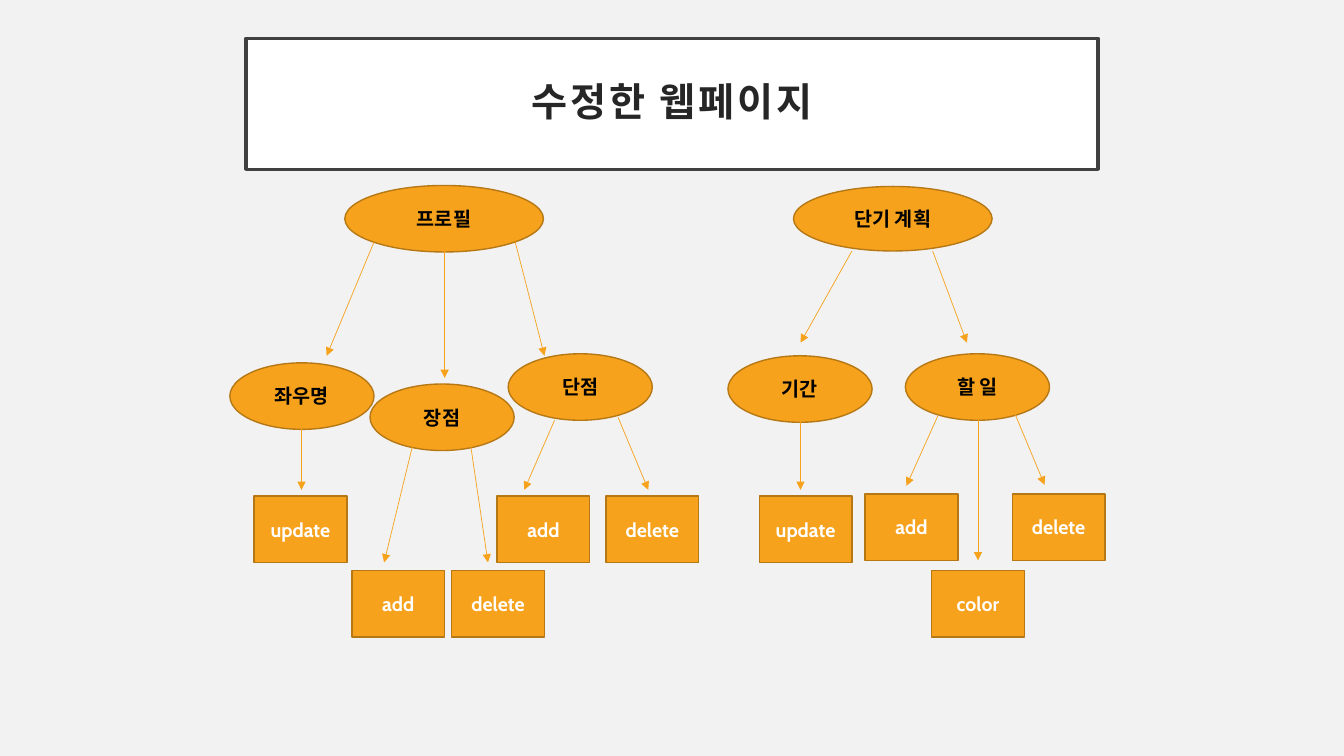
from lxml import etree
from pptx import Presentation
from pptx.dml.color import RGBColor
from pptx.enum.shapes import MSO_CONNECTOR, MSO_SHAPE
from pptx.enum.text import MSO_ANCHOR, PP_ALIGN
from pptx.oxml.ns import qn
from pptx.util import Inches, Pt

RECT, OVAL = MSO_SHAPE.RECTANGLE, MSO_SHAPE.OVAL
STRAIGHT = MSO_CONNECTOR.STRAIGHT
MIDDLE, CENTER = MSO_ANCHOR.MIDDLE, PP_ALIGN.CENTER

FONT = "Cabin"
COLORS = {
    "background": "F2F2F2", "white": "FFFFFF", "frame": "404040",
    "title": "262626", "orange": "F6A21D", "edge": "B67815", "black": "000000",
}
TITLE = ("수정한 웹페이지", 2.44, 0.38, 8.45, 1.3)
NODE_H = 0.66
ROOT_W, TOPIC_W, ACTION_W = 1.97, 1.43, 0.92
ROOTS = [("프로필", 3.42, 1.84, NODE_H), ("단기 계획", 7.87, 1.85, 0.64)]
TOPICS = [
    ("좌우명", 2.28, 3.6), ("장점", 3.67, 3.81), ("단점", 5.04, 3.51),
    ("기간", 7.22, 3.53), ("할 일", 8.98, 3.51),
]
ACTIONS = [
    ("update", 2.52, 4.92), ("add", 3.49, 5.66), ("delete", 4.48, 5.66),
    ("add", 4.93, 4.92), ("delete", 6.01, 4.92), ("update", 7.53, 4.92),
    ("add", 8.58, 4.9), ("color", 9.24, 5.66), ("delete", 10.04, 4.9),
]
ARROWS = [
    (3.71, 2.4, 3.24, 3.53), (4.41, 2.49, 4.41, 3.75), (5.11, 2.4, 5.4, 3.53),
    (8.45, 2.49, 7.94, 3.4), (9.25, 2.49, 9.59, 3.4),
    (2.99, 4.26, 2.99, 4.86), (4.09, 4.43, 3.81, 5.58), (4.67, 4.43, 4.84, 5.58),
    (5.5, 4.17, 5.2, 4.86), (6.13, 4.14, 6.43, 4.86), (7.94, 4.14, 7.94, 4.86),
    (9.3, 4.13, 8.99, 4.82), (9.7, 4.17, 9.7, 5.56), (10.06, 4.09, 10.36, 4.81),
]


def rgb(name):
    return RGBColor.from_string(COLORS[name])


def add_box(s, kind, text, x, y, w, h, color, fill="orange", edge="edge", line=1, size=14):
    sp = s.shapes.add_shape(kind, *map(Inches, (x, y, w, h)))
    sp.shadow.inherit = False
    sp.fill.solid()
    sp.fill.fore_color.rgb = rgb(fill)
    sp.line.color.rgb = rgb(edge)
    sp.line.width = Pt(line)
    tf = sp.text_frame
    tf.word_wrap = True
    tf.vertical_anchor = MIDDLE
    p = tf.paragraphs[0]
    p.text = text
    p.alignment = CENTER
    p.font.name = FONT
    p.font.size = Pt(size)
    p.font.bold = True
    p.font.color.rgb = rgb(color)
    return p


def add_arrow(s, x1, y1, x2, y2):
    c = s.shapes.add_connector(STRAIGHT, *map(Inches, (x1, y1, x2, y2)))
    c.line.color.rgb = rgb("orange")
    c.line.width = Pt(0.5)
    etree.SubElement(c.line._get_or_add_ln(), qn("a:tailEnd"), type="triangle")
    etree.SubElement(c._element.spPr, qn("a:effectLst"))


def main():
    """Build the revised web page tree slide."""
    prs = Presentation()
    prs.slide_width, prs.slide_height = Inches(13.33), Inches(7.5)
    s = prs.slides.add_slide(prs.slide_layouts[6])
    s.background.fill.solid()
    s.background.fill.fore_color.rgb = rgb("background")

    p = add_box(s, RECT, *TITLE, "title", "white", "frame", 2.5, 28)
    p.line_spacing = 0.9
    p.runs[0]._r.get_or_add_rPr().set("spc", "200")

    for text, x, y, h in ROOTS:
        add_box(s, OVAL, text, x, y, ROOT_W, h, "black")
    for text, x, y in TOPICS:
        add_box(s, OVAL, text, x, y, TOPIC_W, NODE_H, "black")
    for text, x, y in ACTIONS:
        add_box(s, RECT, text, x, y, ACTION_W, NODE_H, "white")
    for ends in ARROWS:
        add_arrow(s, *ends)
    prs.save("out.pptx")


if __name__ == "__main__":
    main()
